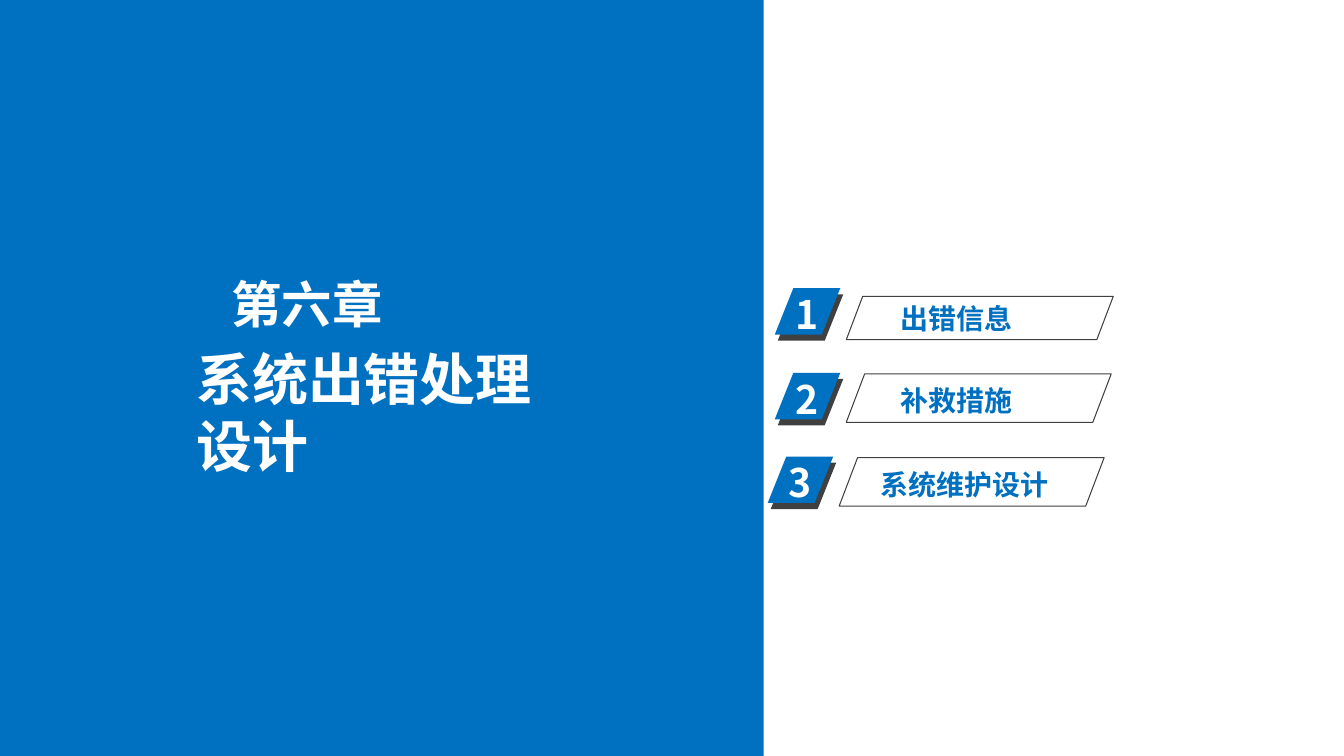
from lxml import etree
from pptx import Presentation
from pptx.dml.color import RGBColor
from pptx.enum.shapes import MSO_SHAPE
from pptx.oxml.ns import qn
from pptx.util import Inches, Pt

RECTANGLE = MSO_SHAPE.RECTANGLE
PARALLELOGRAM = MSO_SHAPE.PARALLELOGRAM

BLUE = RGBColor(0x00, 0x70, 0xC0)
DARK = RGBColor(0x40, 0x40, 0x40)
WHITE = RGBColor(0xFF, 0xFF, 0xFF)
FONT = "Noto Sans CJK SC"

# label, badge left, badge top, frame top, frame width, frame height, label left, label top
TOPICS = [
    ("出错信息", 7.69, 2.86, 2.94, 2.65, 0.43, 8.84, 2.94),
    ("补救措施", 7.69, 3.70, 3.71, 2.63, 0.48, 8.84, 3.76),
    ("系统维护设计", 7.62, 4.53, 4.54, 2.63, 0.48, 8.64, 4.59),
]


class ChapterSlide:
    def __init__(self, presentation):
        self.slide = presentation.slides.add_slide(presentation.slide_layouts[6])
        self.shapes = self.slide.shapes

    def box(self, kind, left, top, width, height, fill=None, line=None, slant=None, shapes=None):
        shape = (shapes or self.shapes).add_shape(
            kind, Inches(left), Inches(top), Inches(width), Inches(height))
        shape.shadow.inherit = False
        if slant is not None:
            shape.adjustments[0] = slant
        if fill is None:
            shape.fill.background()
        else:
            shape.fill.solid()
            shape.fill.fore_color.rgb = fill
        if line is None:
            shape.line.fill.background()
        else:
            shape.line.color.rgb = line
            shape.line.width = Pt(0.75)

    def text(self, text, left, top, width, height, size, color=WHITE, shapes=None):
        text_box = (shapes or self.shapes).add_textbox(
            Inches(left), Inches(top), Inches(width), Inches(height))
        text_box.text_frame.word_wrap = True
        run = text_box.text_frame.paragraphs[0].add_run()
        run.text = text
        run.font.size = Pt(size)
        run.font.bold = True
        run.font.color.rgb = color
        run.font.name = FONT
        east_asian = etree.SubElement(run.font._element, qn("a:ea")) if hasattr(
            run.font, "_element") else etree.SubElement(run._r.get_or_add_rPr(), qn("a:ea"))
        east_asian.set("typeface", FONT)

    def badge(self, number, left, top):
        """Group a number with its slanted tile and the dark tile behind it."""
        shapes = self.shapes.add_group_shape().shapes
        for offset_x, offset_y, fill in ((0.03, 0.06, DARK), (0, 0, BLUE)):
            self.box(PARALLELOGRAM, left + offset_x, top + offset_y, 0.65, 0.46,
                     fill=fill, slant=0.4, shapes=shapes)
        self.text(str(number), left + 0.11, top - 0.03, 0.69, 0.57, 28, shapes=shapes)


def main():
    presentation = Presentation()
    presentation.slide_width = Inches(13.34)
    presentation.slide_height = Inches(7.5)
    chapter = ChapterSlide(presentation)

    chapter.box(RECTANGLE, 0, 0, 7.58, 7.5, fill=BLUE)
    chapter.text("第六章", 2.2, 2.66, 1.81, 0.7, 36)
    chapter.text("系统出错处理设计", 1.85, 3.37, 3.77, 1.44, 40)

    for number, topic in enumerate(TOPICS, start=1):
        label, left, top, frame_top, frame_width, frame_height, label_left, label_top = topic
        chapter.badge(number, left, top)
        chapter.box(PARALLELOGRAM, left + 0.71, frame_top, frame_width, frame_height,
                    line=DARK, slant=0.38)
        chapter.text(label, label_left, label_top, 3.03, 0.44, 20, color=BLUE)

    presentation.save("out.pptx")


if __name__ == "__main__":
    main()
